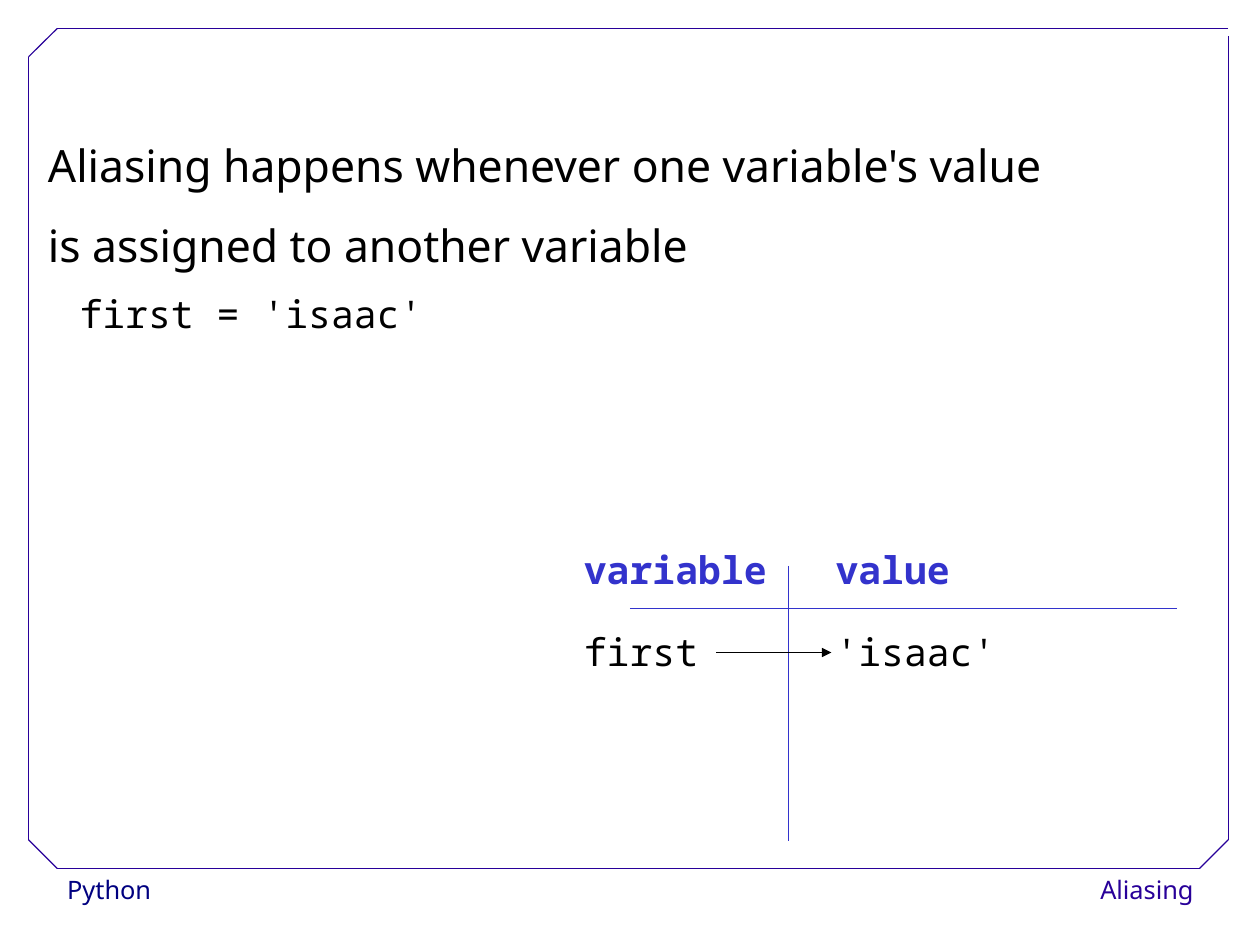
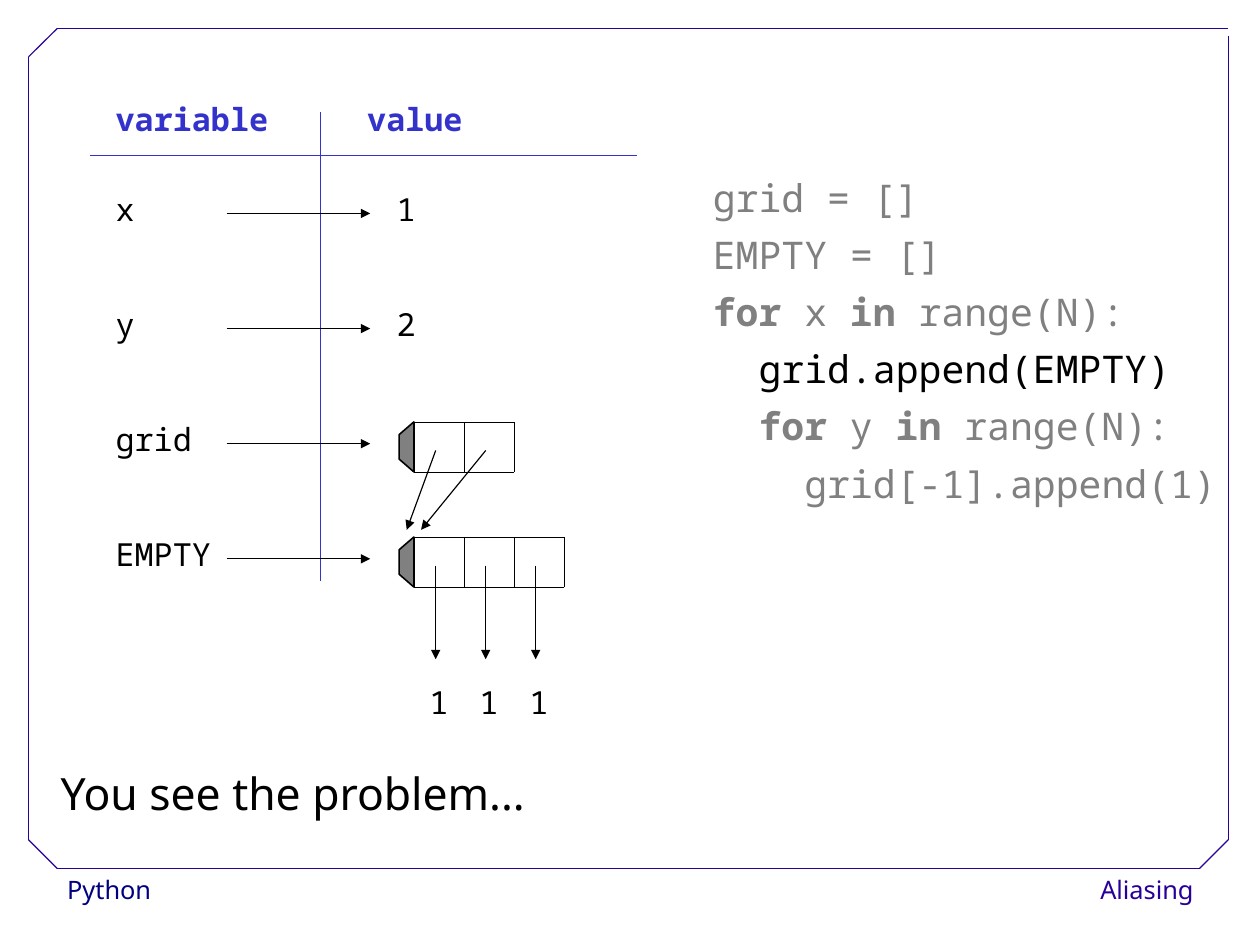
from lxml import etree
from pptx import Presentation
from pptx.dml.color import RGBColor
from pptx.enum.shapes import MSO_CONNECTOR
from pptx.enum.text import MSO_ANCHOR, MSO_AUTO_SIZE, PP_ALIGN
from pptx.oxml.ns import qn
from pptx.util import Pt

STRAIGHT = MSO_CONNECTOR.STRAIGHT
TOP, MIDDLE = MSO_ANCHOR.TOP, MSO_ANCHOR.MIDDLE
LEFT, CENTER, RIGHT = PP_ALIGN.LEFT, PP_ALIGN.CENTER, PP_ALIGN.RIGHT
NO_AUTOFIT = MSO_AUTO_SIZE.NONE

SLIDE_WIDTH, SLIDE_HEIGHT = 793.75, 595.25
SANS, MONO = "Noto Sans", "Noto Sans Mono"
BLACK, GREY = "000000", "808080"
NAVY, INDIGO, BLUE = "000080", "280099", "3333CC"
TITLE_ONLY = 5
CELL = 31.5
ROW_PITCH = 72.5
FRAME = [(773.75, 18), (36, 18), (18, 35.75), (18, 529),
         (36, 547), (755.75, 547), (773.75, 529), (773.75, 23)]
CODE = [
    "grid = []",
    "EMPTY = []",
    "*for* x *in* range(N):",
    "  grid.append(EMPTY)",
    "  *for* y *in* range(N):",
    "    grid[-1].append(1)",
]
CURRENT_LINE = 3


def rgb(color):
    """Turn a hex string into a colour."""
    return RGBColor.from_string(color)


def write_text(frame, text, size=24, font=MONO, color=BLACK, bold=False,
               align=LEFT, spacing=1.0):
    """Fill a text frame line by line, with words between asterisks in bold."""
    frame.word_wrap = True
    for number, line in enumerate(text.split("\n")):
        paragraph = frame.add_paragraph() if number else frame.paragraphs[0]
        paragraph.alignment = align
        paragraph.line_spacing = spacing
        for position, part in enumerate(line.split("*")):
            if part:
                run = paragraph.add_run()
                run.text = part
                run.font.name, run.font.size = font, Pt(size)
                run.font.bold = bold or position % 2 == 1
                run.font.color.rgb = rgb(color)


def add_text(slide, text, left, top, width, height, **style):
    """Add a text box and return its frame."""
    box = slide.shapes.add_textbox(Pt(left), Pt(top), Pt(width), Pt(height))
    write_text(box.text_frame, text, **style)
    return box.text_frame


def add_line(slide, start, end, color=BLACK, arrow=False):
    """Draw a thin line, with an arrowhead at its end if asked."""
    line = slide.shapes.add_connector(STRAIGHT, *map(Pt, start + end))
    line.line.width = Pt(0.75)
    line.line.color.rgb = rgb(color)
    if arrow:
        etree.SubElement(line.line._ln, qn("a:tailEnd"), type="triangle")
    etree.SubElement(line._element.spPr, qn("a:effectLst"))


def add_frame(slide):
    """Draw the cut-corner frame and the two footers."""
    for start, end in zip(FRAME, FRAME[1:]):
        add_line(slide, start, end, INDIGO)
    footer = {"size": 16, "font": SANS, "spacing": 1.02}
    add_text(slide, "Python", 35.25, 547, 155, 29, color=NAVY, **footer)
    add_text(slide, "Aliasing", 658, 547, 101, 29, color=INDIGO, align=RIGHT, **footer)


def add_statement(slide, text, left, top, width, height):
    """Place the slide's statement in its title placeholder."""
    title = slide.shapes.title
    title.left, title.top, title.width, title.height = map(Pt, (left, top, width, height))
    title.text_frame.vertical_anchor = TOP
    title.text_frame.auto_size = NO_AUTOFIT
    write_text(title.text_frame, text, size=28, font=SANS, spacing=1.5)


def add_memory(slide, left, rule_y, height, rule_shift, header_rise, size):
    """Draw the variable and value headings with their crossing rules."""
    divider = left + 136
    rule_left = left + rule_shift
    add_line(slide, (rule_left, rule_y), (rule_left + 344.5, rule_y), BLUE)
    add_line(slide, (divider, rule_y - 27), (divider, rule_y - 27 + height), BLUE)
    for heading, offset in (("variable", 0), ("value", 158.5)):
        add_text(slide, heading, left + offset, rule_y - header_rise, 134, 36,
                 size=size, color=BLUE, bold=True, spacing=0.93)


def add_binding(slide, name, value, left, y, value_shift, arrow_span, size):
    """Join a variable name to its value with an arrow at height y."""
    add_text(slide, name, left, y - 18.5, 127, 36, size=size)
    if value:
        add_text(slide, value, left + value_shift, y - 18.5, 150, 36, size=size)
    start, end = arrow_span
    add_line(slide, (left + start, y), (left + end, y), arrow=True)


def border_cell(cell):
    """Give a cell thin black borders."""
    properties = cell._tc.get_or_add_tcPr()
    for number, side in enumerate(("lnL", "lnR", "lnT", "lnB")):
        border = etree.Element(qn(f"a:{side}"), w=str(Pt(0.06)))
        fill = etree.SubElement(border, qn("a:solidFill"))
        etree.SubElement(fill, qn("a:srgbClr"), val=BLACK)
        properties.insert(number, border)


def add_cells(slide, values, left, top, bordered):
    """Add a one-row table of square cells."""
    table = slide.shapes.add_table(1, len(values), Pt(left), Pt(top),
                                   Pt(CELL * len(values)), Pt(CELL)).table
    table.first_row = table.horz_banding = False
    for column, value in enumerate(values):
        table.columns[column].width = Pt(CELL)
        cell = table.cell(0, column)
        cell.fill.background()
        cell.vertical_anchor = MIDDLE
        cell.margin_left = cell.margin_right = 0
        write_text(cell.text_frame, value, size=20, align=CENTER)
        if bordered:
            border_cell(cell)


def add_list(slide, length, left, top, targets):
    """Draw a list as a grey cap and cells that point to their targets."""
    add_cells(slide, [""] * length, left, top, bordered=True)
    outline = slide.shapes.build_freeform(Pt(left), Pt(top + CELL))
    outline.add_line_segments([(Pt(left), Pt(top)),
                               (Pt(left - 9.25), Pt(top + 8)),
                               (Pt(left - 9.25), Pt(top + CELL - 8))])
    cap = outline.convert_to_shape()
    cap.shadow.inherit = False
    cap.fill.solid()
    cap.fill.fore_color.rgb = rgb(GREY)
    cap.line.color.rgb = rgb(BLACK)
    cap.line.width = Pt(1)
    for index, target in enumerate(targets):
        add_line(slide, (left + 13.75 + CELL * index, top + 18), target, arrow=True)


def add_code(slide, left, top, width, height):
    """Show the code in grey with the current line in black."""
    frame = add_text(slide, "\n".join(CODE), left, top, width, height,
                     color=GREY, spacing=1.25)
    for run in frame.paragraphs[CURRENT_LINE].runs:
        run.font.color.rgb = rgb(BLACK)


def build_assignment(slide):
    """Build the slide that introduces aliasing."""
    add_frame(slide)
    add_statement(slide, "Aliasing happens whenever one variable's value\n"
                  "is assigned to another variable", 23, 66.5, 714, 108)
    add_text(slide, "first = 'isaac'", 43, 179.5, 322, 40)
    left = 360.75
    add_memory(slide, left, 383.5, 173, rule_shift=36, header_rise=40.5, size=24)
    add_binding(slide, "first", "'isaac'", left, 411, 158.5, (90.5, 163), 24)


def build_problem(slide):
    """Build the slide that shows one list shared by every row."""
    add_frame(slide)
    left = 65.75
    add_memory(slide, left, 97.75, 295, rule_shift=-9, header_rise=36, size=20)
    bindings = [("x", "1"), ("y", "2"), ("grid", ""), ("EMPTY", "")]
    rows = [134.5 + ROW_PITCH * index for index in range(len(bindings))]
    for (name, value), y in zip(bindings, rows):
        add_binding(slide, name, value, left, y, 177, (77, 167.5), 20)
    list_left = left + 195
    grid_top, empty_top = (y - 13.75 for y in rows[2:])
    add_list(slide, 2, list_left, grid_top,
             [(list_left + shift, empty_top - 4.5) for shift in (-4.5, 4.5)])
    add_list(slide, 3, list_left, empty_top,
             [(list_left + 13.75 + CELL * index, empty_top + 77) for index in range(3)])
    add_cells(slide, ["1"] * 3, list_left, empty_top + 86.5, bordered=False)
    add_code(slide, 442, 99, 340, 235)
    add_statement(slide, "You see the problem...", 31, 462, 381, 58)


def main():
    """Build and save the presentation."""
    deck = Presentation()
    deck.slide_width, deck.slide_height = Pt(SLIDE_WIDTH), Pt(SLIDE_HEIGHT)
    for build in (build_assignment, build_problem):
        build(deck.slides.add_slide(deck.slide_layouts[TITLE_ONLY]))
    deck.save("out.pptx")


if __name__ == "__main__":
    main()
